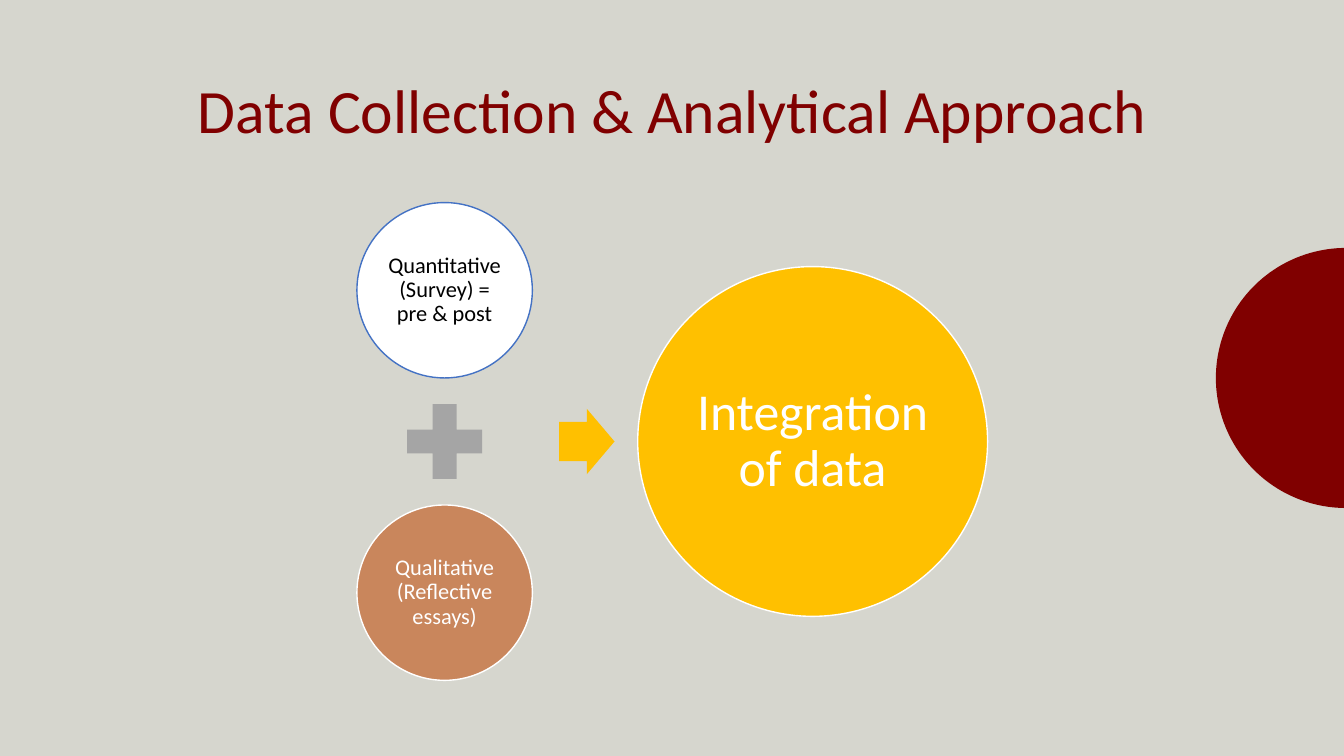
from dataclasses import dataclass
from math import cos, pi, sin

from pptx import Presentation
from pptx.dml.color import RGBColor
from pptx.enum.shapes import MSO_SHAPE as SHAPE
from pptx.enum.text import MSO_ANCHOR as ANCHOR, PP_ALIGN as ALIGN
from pptx.util import Inches, Pt


@dataclass(frozen=True)
class Theme:
    font: str = "Calibri"
    background: str = "D6D6CE"
    maroon: str = "800000"
    white: str = "FFFFFF"
    black: str = "000000"
    blue: str = "4472C4"
    gray: str = "A5A5A5"
    clay: str = "C9865C"
    gold: str = "FFC000"
    title_size: int = 44
    result_size: int = 37
    source_size: int = 16


THEME = Theme()


def rgb(color):
    return RGBColor.from_string(color)


def paint(sp, fill, line=None):
    sp.shadow.inherit = False
    sp.fill.solid()
    sp.fill.fore_color.rgb = rgb(fill)
    if line:
        sp.line.color.rgb = rgb(line)
        sp.line.width = Pt(1)
    else:
        sp.line.fill.background()


def write(sp, text, size, color, inset):
    tf = sp.text_frame
    tf.word_wrap = True
    tf.vertical_anchor = ANCHOR.MIDDLE
    tf.margin_left = tf.margin_right = Inches(inset)
    tf.margin_top = tf.margin_bottom = Inches(inset)
    p = tf.paragraphs[0]
    p.text = text
    p.alignment = ALIGN.CENTER
    p.line_spacing = 0.9
    p.font.name = THEME.font
    p.font.size = Pt(size)
    p.font.color.rgb = rgb(color)


def add_title(s, text):
    sp = s.shapes.add_textbox(Inches(0.92), Inches(0.4), Inches(11.5), Inches(1.45))
    write(sp, text, THEME.title_size, THEME.maroon, 0.1)


def add_symbol(s, kind, cx, cy, width, height, fill, line=None):
    sp = s.shapes.add_shape(
        kind, Inches(cx - width / 2), Inches(cy - height / 2), Inches(width), Inches(height)
    )
    paint(sp, fill, line)
    return sp


def add_circle(s, cx, cy, diameter, text, size, color, fill, line, inset=0.02):
    sp = add_symbol(s, SHAPE.OVAL, cx, cy, diameter, diameter, fill, line)
    write(sp, text, size, color, inset)


def add_edge_disc(s, cx, cy, radius, edge, steps=90):
    angles = [pi / 2 + pi * i / steps for i in range(steps + 1)]
    points = [
        (Inches(min(edge, cx + radius * cos(a))), Inches(cy - radius * sin(a)))
        for a in angles
    ]
    builder = s.shapes.build_freeform(*points[0])
    builder.add_line_segments(points[1:], close=True)
    paint(builder.convert_to_shape(), THEME.maroon)


def main():
    prs = Presentation()
    prs.slide_width, prs.slide_height = Inches(13.33), Inches(7.5)
    s = prs.slides.add_slide(prs.slide_layouts[6])
    s.background.fill.solid()
    s.background.fill.fore_color.rgb = rgb(THEME.background)

    add_edge_disc(s, 13.35, 3.75, 1.29, 13.33)
    add_title(s, "Data Collection & Analytical Approach")

    source_x, middle_y, offset = 4.41, 4.38, 1.5
    add_circle(s, source_x, middle_y - offset, 1.74, "Quantitative (Survey) = pre & post",
               THEME.source_size, THEME.black, THEME.white, THEME.blue)
    add_symbol(s, SHAPE.MATH_PLUS, source_x, middle_y, 1.01, 1.01, THEME.gray)
    add_circle(s, source_x, middle_y + offset, 1.74, "Qualitative (Reflective essays)",
               THEME.source_size, THEME.white, THEME.clay, THEME.white)
    arrow = add_symbol(s, SHAPE.RIGHT_ARROW, 5.82, middle_y, 0.55, 0.65, THEME.gold)
    arrow.adjustments[0] = 0.6
    add_circle(s, 8.06, middle_y, 3.47, "Integration of data",
               THEME.result_size, THEME.white, THEME.gold, THEME.white, 0.05)

    prs.save("out.pptx")


if __name__ == "__main__":
    main()
